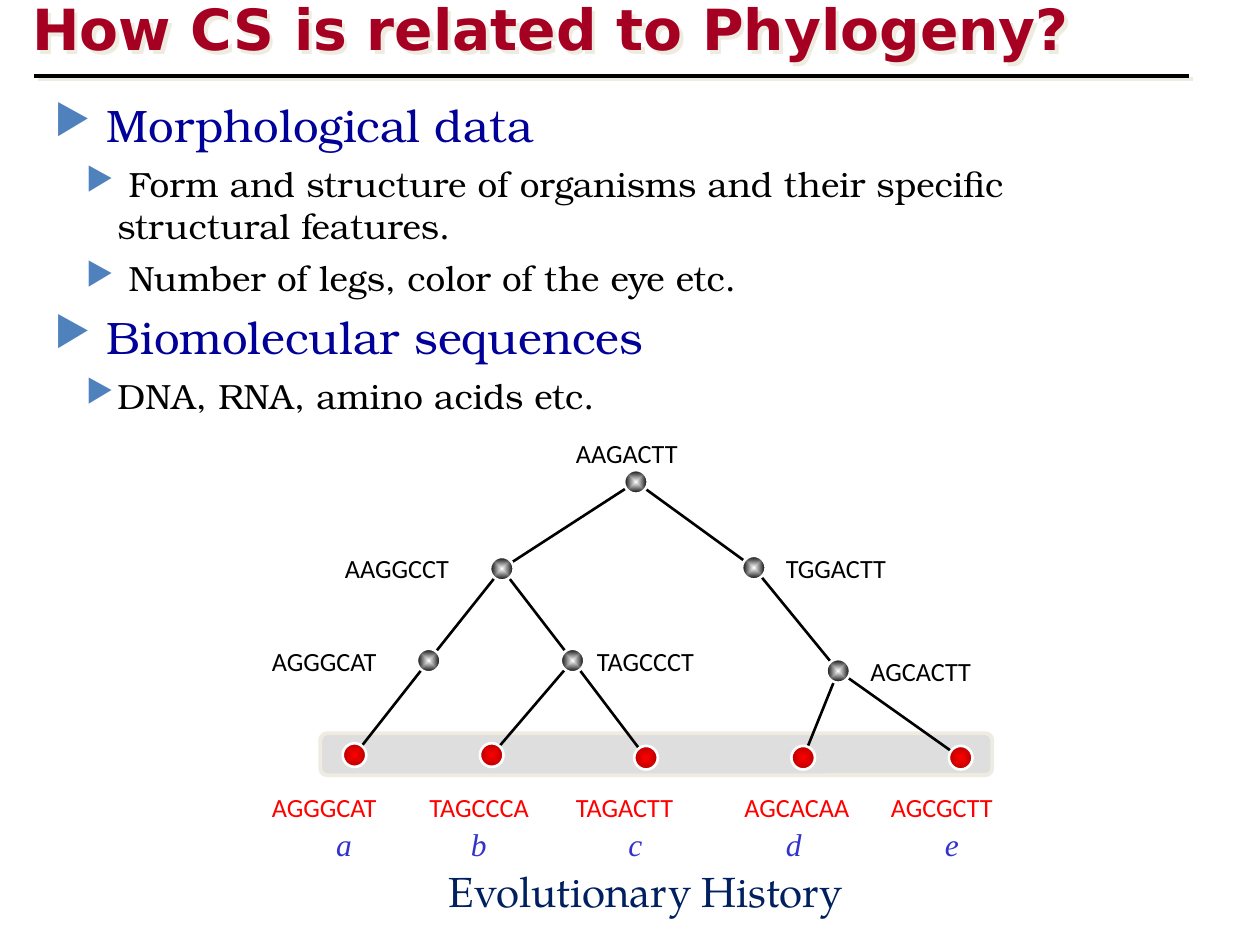
from lxml.etree import SubElement
from pptx import Presentation
from pptx.dml.color import RGBColor
from pptx.enum.shapes import MSO_CONNECTOR, MSO_SHAPE
from pptx.enum.text import MSO_ANCHOR, PP_ALIGN
from pptx.oxml import parse_xml
from pptx.oxml.ns import nsdecls, qn
from pptx.util import Pt

COLORS = {
    "title": "A50021", "heading": "000099", "text": "000000", "bullet": "4F81BD",
    "cream": "EEECE1", "band": "808080", "white": "FFFFFF", "black": "000000",
    "leaf": "FF0000", "leaf_edge": "B60000", "letter": "3333CC", "caption": "002060",
}
DOT = 13.5  # node diameter


class SlideBuilder:
    def __init__(self, page):
        self.page = page

    def color(self, name):
        return RGBColor.from_string(COLORS[name])

    def style(self, para, font, size, color, bold=False, italic=False):
        para.font.name = font
        para.font.size = Pt(size)
        para.font.color.rgb = self.color(color)
        para.font.bold = bold
        para.font.italic = italic

    def effects(self, shape, shadow=None):
        """Replace inherited effects by none, or by a cream shadow."""
        effect = SubElement(shape._element.spPr, qn("a:effectLst"))
        if shadow:
            effect.append(parse_xml(
                f'<a:outerShdw {nsdecls("a")} dist="35921" dir="2700000" algn="ctr" '
                f'rotWithShape="0"><a:srgbClr val="{COLORS[shadow]}"/></a:outerShdw>'))

    def frame(self, left, top, width, height):
        box = self.page.shapes.add_textbox(Pt(left), Pt(top), Pt(width), Pt(height))
        box.text_frame.word_wrap = True
        return box

    def text(self, words, area, font, size, color, align=PP_ALIGN.LEFT, **kind):
        box = self.frame(*area)
        para = box.text_frame.paragraphs[0]
        para.text = words
        para.alignment = align
        self.style(para, font, size, color, **kind)
        return box

    def bullets(self, items, area):
        frame = self.frame(*area).text_frame
        for index, (level, words) in enumerate(items):
            para = frame.add_paragraph() if index else frame.paragraphs[0]
            para.text = words
            para.level = level
            if index:
                para.space_before = Pt(6)
            props = para._p.get_or_add_pPr()
            props.set("marL", str(Pt(36 * level)))
            props.set("indent", str(Pt(-18 * level)))
            color = SubElement(props, qn("a:buClr"))
            SubElement(color, qn("a:srgbClr"), val=COLORS["bullet"])
            SubElement(props, qn("a:buSzPct"), val="90000")
            SubElement(props, qn("a:buChar"), char="▶")
            size, tint = ((26, "heading"), (20, "text"))[level]
            self.style(para, "TeX Gyre Bonum", size, tint)

    def line(self, start, end, width, shadow=None):
        line = self.page.shapes.add_connector(
            MSO_CONNECTOR.STRAIGHT, *(Pt(value) for value in (*start, *end)))
        line.line.color.rgb = self.color("black")
        line.line.width = Pt(width)
        self.effects(line, shadow)

    def band(self, left, top, width, height):
        band = self.page.shapes.add_shape(
            MSO_SHAPE.ROUNDED_RECTANGLE, Pt(left), Pt(top), Pt(width), Pt(height))
        band.shadow.inherit = False
        band.fill.solid()
        band.fill.fore_color.rgb = self.color("band")
        tint = band._element.spPr.find(qn("a:solidFill"))[0]
        SubElement(tint, qn("a:alpha"), val="26000")
        band.line.color.rgb = self.color("cream")
        band.line.width = Pt(2.25)

    def node(self, center, inner, outer):
        x, y = center
        dot = self.page.shapes.add_shape(
            MSO_SHAPE.OVAL, Pt(x - DOT / 2), Pt(y - DOT / 2), Pt(DOT), Pt(DOT))
        dot.shadow.inherit = False
        dot.line.color.rgb = self.color("white")
        dot.line.width = Pt(1.5)
        gradient = parse_xml(
            f'<a:gradFill {nsdecls("a")} rotWithShape="1"><a:gsLst>'
            f'<a:gs pos="0"><a:srgbClr val="{COLORS[inner]}"/></a:gs>'
            f'<a:gs pos="100000"><a:srgbClr val="{COLORS[outer]}"/></a:gs></a:gsLst>'
            '<a:path path="shape"><a:fillToRect l="50000" t="50000" r="50000" '
            'b="50000"/></a:path></a:gradFill>')
        dot._element.spPr.find(qn("a:prstGeom")).addnext(gradient)


# Tree: name -> (centre, label, label left and top)
INNER = {
    "root": ((363.4, 275.4), "AAGACTT", (322, 246.2)),
    "left": ((286.8, 325), "AAGGCCT", (190, 311.8)),
    "right": ((430.8, 324.4), "TGGACTT", (442, 311.8)),
    "left outer": ((245, 377.5), "AGGGCAT", (148.3, 365)),
    "left inner": ((327.2, 377.5), "TAGCCCT", (334, 365)),
    "right inner": ((479, 383.4), "AGCACTT", (490.3, 370.8)),
}
# Leaves: name -> (centre, label, label left, letter left)
LEAVES = {
    "a": ((202.6, 431.5), "AGGGCAT", 148.3, 185),
    "b": ((281, 431.5), "TAGCCCA", 238.3, 262),
    "c": ((369.2, 433), "TAGACTT", 322, 352),
    "d": ((459, 433), "AGCACAA", 418.3, 442),
    "e": ((549, 433), "AGCGCTT", 502, 532.8),
}
EDGES = [
    ("root", "left"), ("root", "right"), ("left", "left outer"),
    ("left", "left inner"), ("right", "right inner"), ("left outer", "a"),
    ("left inner", "b"), ("left inner", "c"), ("right inner", "d"), ("right inner", "e"),
]


def main():
    deck = Presentation()
    deck.slide_width, deck.slide_height = Pt(720), Pt(540)
    builder = SlideBuilder(deck.slides.add_slide(deck.slide_layouts[6]))

    # Title and rule
    title = builder.text("How CS is related to Phylogeny?", (11.5, -8, 612, 48),
                         "DejaVu Sans", 32.4, "title", bold=True)
    title.text_frame.vertical_anchor = MSO_ANCHOR.MIDDLE
    builder.effects(title, "cream")
    builder.line((19.5, 43.2), (679.5, 43.2), 2.25, "cream")

    # Bullet list
    builder.bullets([
        (0, " Morphological data"),
        (1, " Form and structure of organisms and their specific structural features."),
        (1, " Number of legs, color of the eye etc."),
        (0, " Biomolecular sequences"),
        (1, "DNA, RNA, amino acids etc."),
    ], (24, 52, 653.8, 198.7))

    # Band behind the leaves, then branches
    builder.band(183, 419, 384, 24)
    centers = {name: entry[0] for name, entry in (INNER | LEAVES).items()}
    for parent, child in EDGES:
        builder.line(centers[parent], centers[child], 1.5)

    # Ancestors
    for center, label, (left, top) in INNER.values():
        builder.node(center, "white", "black")
        builder.text(label, (left, top, 96, 25), "Calibri", 15, "text")

    # Leaves with sequence and letter
    for letter, (center, label, left, letter_left) in LEAVES.items():
        builder.node(center, "leaf", "leaf_edge")
        builder.text(label, (left, 448.6, 96, 25), "Calibri", 15, "leaf")
        builder.text(letter, (letter_left, 468, 30, 29), "Times New Roman", 18,
                     "letter", italic=True)

    # Caption
    builder.text("Evolutionary History", (219, 491, 300, 36), "TeX Gyre Pagella", 24,
                 "caption", PP_ALIGN.CENTER)
    deck.save("out.pptx")


if __name__ == "__main__":
    main()
